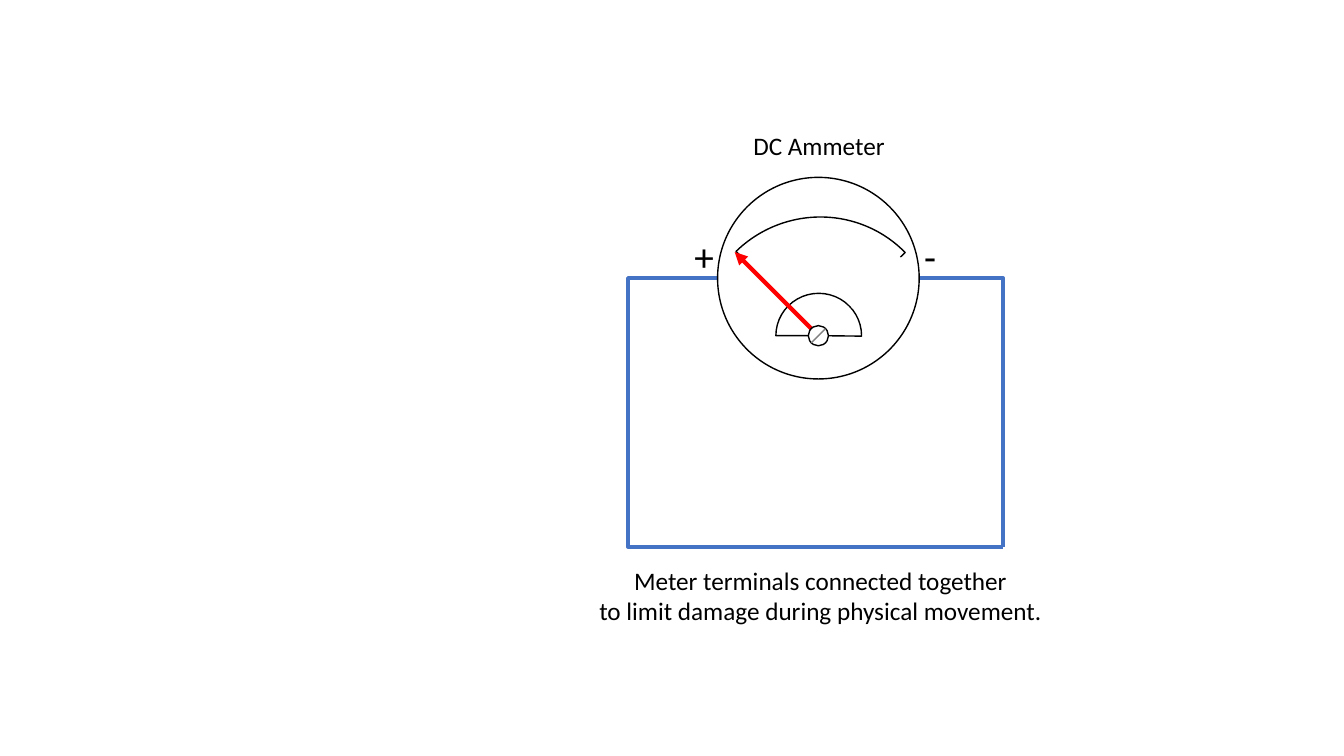
from dataclasses import dataclass

from lxml import etree
from pptx import Presentation
from pptx.dml.color import RGBColor
from pptx.enum.shapes import MSO_CONNECTOR, MSO_SHAPE
from pptx.enum.text import MSO_AUTO_SIZE, PP_ALIGN
from pptx.oxml.ns import qn
from pptx.util import Pt

STRAIGHT, ELBOW = MSO_CONNECTOR.STRAIGHT, MSO_CONNECTOR.ELBOW
OVAL, PIE = MSO_SHAPE.OVAL, MSO_SHAPE.PIE
LEFT, CENTER = PP_ALIGN.LEFT, PP_ALIGN.CENTER
FIT = MSO_AUTO_SIZE.SHAPE_TO_FIT_TEXT


@dataclass(frozen=True)
class Theme:
    font: str = "Calibri"
    ink: str = "000000"
    paper: str = "FFFFFF"
    wire: str = "4472C4"
    needle: str = "FF0000"
    slot: str = "808080"
    body: int = 18
    sign: int = 28
    thin: int = 1
    thick: int = 3
    mask: int = 6


def write(frame, text, size, color, font, align=LEFT):
    """Fill a text frame, one paragraph for each line of text."""
    for i, line in enumerate(text.split("\n")):
        para = frame.paragraphs[0] if i == 0 else frame.add_paragraph()
        para.alignment = align
        run = para.add_run()
        run.text = line
        run.font.name = font
        run.font.size = Pt(size)
        run.font.color.rgb = RGBColor.from_string(color)


class Board:
    def __init__(self, slide, theme):
        self.theme = theme
        self.slide = slide
        self.shapes = slide.shapes

    def group(self):
        """Send the elements that follow into a new group."""
        self.shapes = self.slide.shapes.add_group_shape().shapes

    def line(self, start, end, color, width, kind=STRAIGHT, arrow=False):
        link = self.shapes.add_connector(kind, *map(Pt, start + end))
        link.line.color.rgb = RGBColor.from_string(color)
        link.line.width = Pt(width)
        props = link._element.spPr
        if arrow:
            tip = etree.SubElement(props.find(qn("a:ln")), qn("a:tailEnd"))
            tip.set("type", "triangle")
        etree.SubElement(props, qn("a:effectLst"))
        return link

    def elbow(self, start, end, preset, bend=None):
        """Draw a bent wire; bend is the place of its turn, as a share of its width."""
        link = self.line(start, end, self.theme.wire, self.theme.thick, ELBOW)
        geom = link._element.spPr.find(qn("a:prstGeom"))
        geom.set("prst", preset)
        if bend is not None:
            guide = etree.SubElement(geom.find(qn("a:avLst")), qn("a:gd"))
            guide.set("name", "adj1")
            guide.set("fmla", f"val {round(bend * 100000)}")

    def shape(self, kind, box, fill=None, turn=0, angles=()):
        """Draw an outlined shape; angles are the ends of a pie in degrees."""
        item = self.shapes.add_shape(kind, *map(Pt, box))
        item.shadow.inherit = False
        item.rotation = turn
        for i, angle in enumerate(angles):
            item.adjustments[i] = angle * 0.6
        if fill:
            item.fill.solid()
            item.fill.fore_color.rgb = RGBColor.from_string(fill)
        else:
            item.fill.background()
        item.line.color.rgb = RGBColor.from_string(self.theme.ink)
        item.line.width = Pt(self.theme.thin)

    def text(self, text, box, size, align=LEFT):
        frame = self.shapes.add_textbox(*map(Pt, box)).text_frame
        frame.word_wrap = False
        frame.auto_size = FIT
        write(frame, text, size, self.theme.ink, self.theme.font, align=align)


def disc(x, y, radius):
    return x - radius, y - radius, 2 * radius, 2 * radius


def draw_loop(board, x, y, radius):
    theme = board.theme
    joint, right, low = 455, 716.4, 390.5
    board.elbow((x + radius, y), (right, low), "bentConnector2")
    board.elbow((joint, y), (right, low), "bentConnector3", bend=-0.024)
    board.line((x - radius, y), (joint, y), theme.wire, theme.thick)
    board.text("Meter terminals connected together\n"
               "to limit damage during physical movement.",
               (416.9, 400.3, 338.4, 51), theme.body, align=CENTER)


def draw_meter(board, x, y, radius):
    theme = board.theme
    pivot = y + 41.1
    board.group()
    board.shape(PIE, (499, 155.5, 172, 170), theme.paper, 135, (90.79, 180.64))
    board.shape(OVAL, disc(x, y, radius))
    board.shape(PIE, (554.2, 209.5, 61.2, 60.5), theme.paper, 180, (0, 180.64))
    for start, end in (((607, 218.2), (643, 183.6)),
                       ((563, 217.4), (528.5, 182.9))):
        board.line(start, end, theme.paper, theme.mask)
    board.line((x, pivot), (x - 59.8, pivot - 59.8),
               theme.needle, theme.thick, arrow=True)
    board.shape(OVAL, disc(x, pivot, 7.2), theme.paper)
    board.line((x - 5, pivot + 5), (x + 5, pivot - 5), theme.slot, theme.thin)
    board.text("+", (488.9, 162.7, 28.8, 41), theme.sign)
    board.text("-", (653, 162.7, 23, 41), theme.sign)
    board.text("DC Ammeter", (530.3, 89.3, 109.4, 29), theme.body, align=CENTER)


def main():
    deck = Presentation()
    deck.slide_width, deck.slide_height = Pt(960), Pt(540)
    board = Board(deck.slides.add_slide(deck.slide_layouts[6]), Theme())
    meter = 584.6, 198.7, 72
    draw_loop(board, *meter)
    draw_meter(board, *meter)
    deck.save("out.pptx")


if __name__ == "__main__":
    main()
